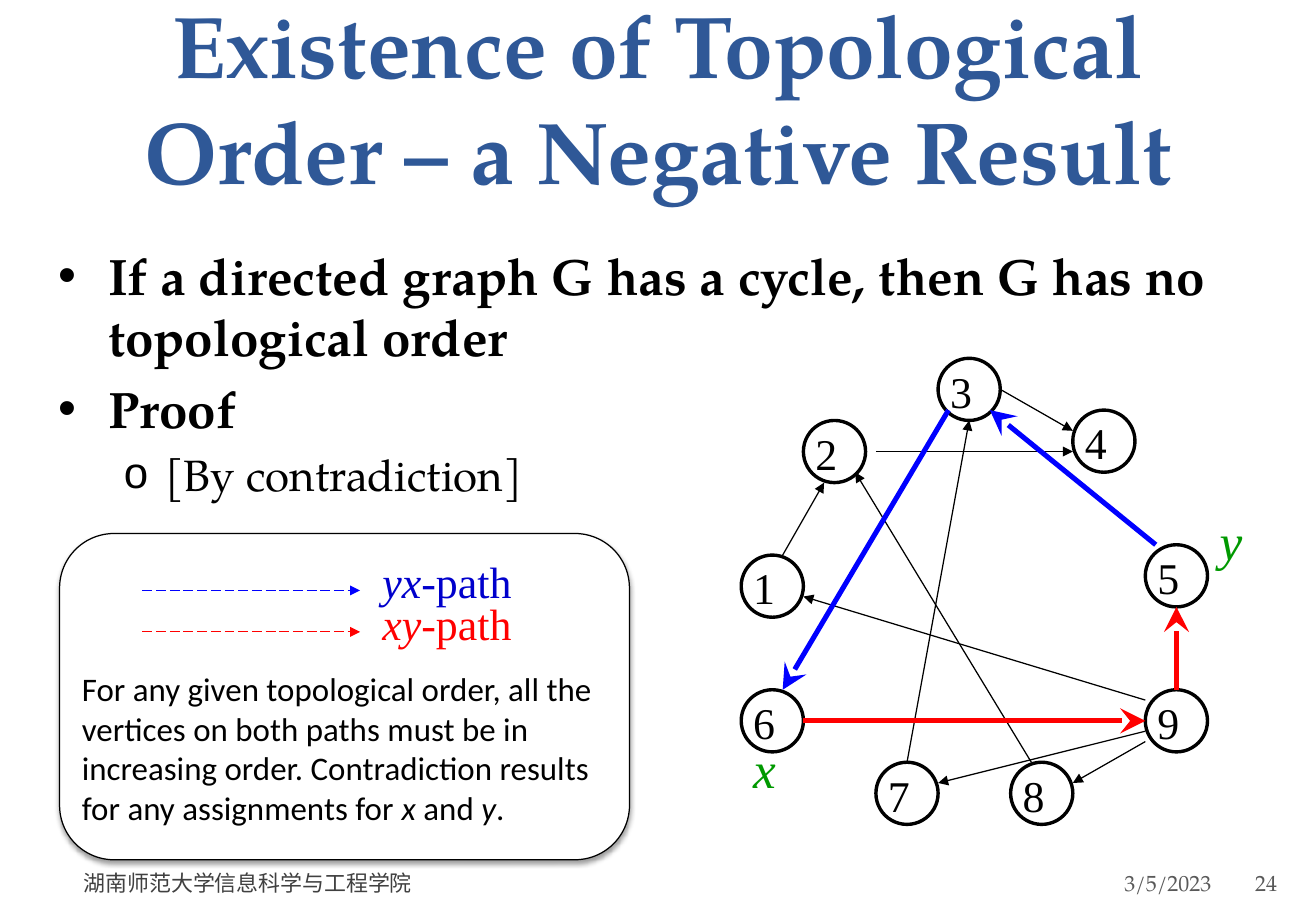
from dataclasses import dataclass

from lxml import etree
from pptx import Presentation
from pptx.dml.color import RGBColor
from pptx.enum.dml import MSO_LINE
from pptx.enum.shapes import MSO_CONNECTOR, MSO_SHAPE
from pptx.enum.text import MSO_ANCHOR, MSO_AUTO_SIZE, PP_ALIGN
from pptx.oxml.ns import qn
from pptx.util import Inches, Pt

LONG_DASH = MSO_LINE.LONG_DASH
STRAIGHT = MSO_CONNECTOR.STRAIGHT
OVAL, ROUNDED = MSO_SHAPE.OVAL, MSO_SHAPE.ROUNDED_RECTANGLE
BOTTOM, MIDDLE = MSO_ANCHOR.BOTTOM, MSO_ANCHOR.MIDDLE
NO_FIT, GROW = MSO_AUTO_SIZE.NONE, MSO_AUTO_SIZE.SHAPE_TO_FIT_TEXT
LEFT, CENTER, RIGHT = PP_ALIGN.LEFT, PP_ALIGN.CENTER, PP_ALIGN.RIGHT


@dataclass(frozen=True)
class Theme:
    serif: str = "TeX Gyre Pagella"
    math: str = "Times New Roman"
    sans: str = "Calibri"
    black: str = "000000"
    white: str = "FFFFFF"
    title: str = "2F5897"
    blue: str = "0000FF"
    deep_blue: str = "0000CC"
    red: str = "FF0000"
    green: str = "009900"
    footer: str = "404040"
    footer_light: str = "595959"
    title_size: float = 52
    title_leading: float = 62.8
    big: float = 30.3
    medium: float = 26
    note: float = 19.5
    small: float = 13
    hair: float = 0.75
    ring: float = 2
    heavy: float = 3


T = Theme()
WIDTH, HEIGHT = Inches(10.83), Inches(7.5)
UNIT = WIDTH / 127  # one grid step
DIAMETER = 6

# Grid column and row of each vertex's top left corner
VERTICES = {
    "3": (19, 0), "2": (6, 6), "4": (32, 5), "1": (0, 19), "6": (0, 32),
    "7": (13, 39), "8": (26, 39), "5": (39, 18), "9": (39, 32),
}
PLAIN_EDGES = [
    ((25, 3), (32, 7)), ((4, 19), (8, 12)), ((13, 9), (32, 9)),
    ((39, 37), (32, 41)), ((39, 36), (19, 41)), ((39, 33), (6, 23)),
    ((16, 39), (22, 6)), ((28, 39), (11, 11)),
]
PATH_EDGES = [
    ((20, 5), (4, 32), T.blue), ((40, 18), (24, 5), T.blue),
    ((6, 35), (39, 35), T.red), ((42, 32), (42, 24), T.red),
]


def share(left, top, width, height):
    """Turn percentages of the slide into a box."""
    return [int(p * side / 100) for p, side in
            zip((left, top, width, height), (WIDTH, HEIGHT, WIDTH, HEIGHT))]


class Grid:
    """Square grid measured from an origin given in inches."""

    def __init__(self, left, top):
        self.left, self.top = Inches(left), Inches(top)

    def at(self, col, row):
        return int(self.left + col * UNIT), int(self.top + row * UNIT)

    def box(self, col, row, cols, rows):
        return *self.at(col, row), int(cols * UNIT), int(rows * UNIT)


def style(r, font, size, color, bold=False, italic=False):
    f = r.font
    f.name, f.size, f.bold, f.italic = font, Pt(size), bold, italic
    f.color.rgb = RGBColor.from_string(color)


def place(sp, box):
    sp.left, sp.top, sp.width, sp.height = box


def add_text(s, box, runs, font, size, color):
    """Add a text box from (text, italic) runs."""
    tf = s.shapes.add_textbox(*box).text_frame
    tf.word_wrap, tf.auto_size = True, GROW
    for text, italic in runs:
        r = tf.paragraphs[0].add_run()
        r.text = text
        style(r, font, size, color, italic=italic)
    return tf


def add_outline(s, kind, box, width):
    sp = s.shapes.add_shape(kind, *box)
    sp.shadow.inherit = False
    sp.fill.background()
    sp.line.color.rgb = RGBColor.from_string(T.black)
    sp.line.width = Pt(width)
    return sp


def add_arrow(s, start, end, color, width, head="triangle", size="med", dash=None):
    cn = s.shapes.add_connector(STRAIGHT, *start, *end)
    cn.line.color.rgb = RGBColor.from_string(color)
    cn.line.width = Pt(width)
    if dash:
        cn.line.dash_style = dash
    ln = cn.line._get_or_add_ln()
    etree.SubElement(ln, qn("a:tailEnd"), type=head, w=size, len=size)
    etree.SubElement(cn._element.spPr, qn("a:effectLst"))


def add_drop_shadow(sp):
    effects = sp._element.spPr.find(qn("a:effectLst"))
    shadow = etree.SubElement(effects, qn("a:outerShdw"), blurRad=str(Pt(3.1)),
                              dist=str(Pt(1.6)), dir="5400000", rotWithShape="0")
    color = etree.SubElement(shadow, qn("a:srgbClr"), val=T.black)
    etree.SubElement(color, qn("a:alpha"), val="38000")


def fill_title(sp, text):
    place(sp, share(5, 6.13, 90, 16.67))
    tf = sp.text_frame
    tf.text = text
    tf.auto_size, tf.vertical_anchor = NO_FIT, BOTTOM
    p = tf.paragraphs[0]
    p.alignment, p.line_spacing = CENTER, Pt(T.title_leading)
    style(p.runs[0], T.serif, T.title_size, T.title, bold=True)


def fill_body(sp, items):
    """Fill the list from (level, text) items."""
    place(sp, share(3.5, 26.13, 93.7, 34.13))
    tf = sp.text_frame
    tf.text = "\n".join(text for _, text in items)
    tf.auto_size = NO_FIT
    looks = [("•", 0.41, 0.41, T.big), ("o", 0.88, 0.34, T.medium)]
    for i, (p, (level, _)) in enumerate(zip(tf.paragraphs, items)):
        bullet, margin, hang, size = looks[level]
        p.level = level
        pPr = p._p.get_or_add_pPr()
        pPr.set("marL", str(Inches(margin)))
        pPr.set("indent", str(-Inches(hang)))
        etree.SubElement(pPr, qn("a:buChar"), char=bullet)
        p.space_before = Pt(0.2 * size if i else 0)
        style(p.runs[0], T.serif, size, T.black, bold=level == 0)


def add_graph(s):
    grid = Grid(6.1, 2.95)
    for name, corner in VERTICES.items():
        add_outline(s, OVAL, grid.box(*corner, DIAMETER, DIAMETER), T.ring)
        add_text(s, grid.box(*corner, 5, 6.3), [(name, False)], T.math, T.medium, T.black)
    for start, end in PLAIN_EDGES:
        add_arrow(s, grid.at(*start), grid.at(*end), T.black, T.hair)
    for start, end, color in PATH_EDGES:
        add_arrow(s, grid.at(*start), grid.at(*end), color, T.heavy, "stealth", "lg")
    for name, corner in (("x", (0, 36)), ("y", (45, 14))):
        add_text(s, grid.box(*corner, 5, 7.2), [(name, True)], T.math, T.big, T.green)


def add_legend(s):
    grid = Grid(0.49, 4.52)
    card = add_outline(s, ROUNDED, grid.box(0, -1.5, 55, 31.5), T.hair)
    card.adjustments[0] = 0.167
    card.fill.solid()
    card.fill.fore_color.rgb = RGBColor.from_string(T.white)
    add_drop_shadow(card)
    paths = [("yx", T.blue, T.deep_blue), ("xy", T.red, T.red)]
    for i, (name, line_color, text_color) in enumerate(paths):
        row = 4 * i
        add_arrow(s, grid.at(8, row + 4), grid.at(29, row + 4), line_color, T.hair,
                  dash=LONG_DASH)
        add_text(s, grid.box(30, row, 18, 6.3), [(name, True), ("-path", False)],
                 T.math, T.medium, text_color)
    note = [("For any given topological order, all the vertices on both paths must be in "
             "increasing order. Contradiction results for any assignments for ", False),
            ("x", True), (" and ", False), ("y", True), (".", False)]
    add_text(s, grid.box(1, 11, 52, 16.5), note, T.sans, T.note, T.black)


def add_footer(s, left, width, text, color, insets, align=LEFT):
    tf = add_text(s, share(left, 94.2, width, 5.33), [(text, False)], T.serif, T.small, color)
    tf.auto_size, tf.vertical_anchor = NO_FIT, MIDDLE
    tf.margin_left, tf.margin_right = map(Inches, insets)
    tf.paragraphs[0].alignment = align


def main():
    prs = Presentation()
    prs.slide_width, prs.slide_height = WIDTH, HEIGHT
    s = prs.slides.add_slide(prs.slide_layouts[1])
    fill_title(s.shapes.title, "Existence of Topological Order – a Negative Result")
    fill_body(s.placeholders[1], [
        (0, "If a directed graph G has a cycle, then G has no topological order"),
        (0, "Proof"),
        (1, "[By contradiction]"),
    ])
    add_graph(s)
    add_legend(s)
    add_footer(s, 5.9, 63, "湖南师范大学信息科学与工程学院", T.footer, (0.05, 0.1))
    add_footer(s, 95.1, 4.5, "24", T.footer_light, (0.03, 0.05))
    add_footer(s, 69.7, 22.8, "3/5/2023", T.footer_light, (0.1, 0.05), RIGHT)
    prs.save("out.pptx")


if __name__ == "__main__":
    main()
